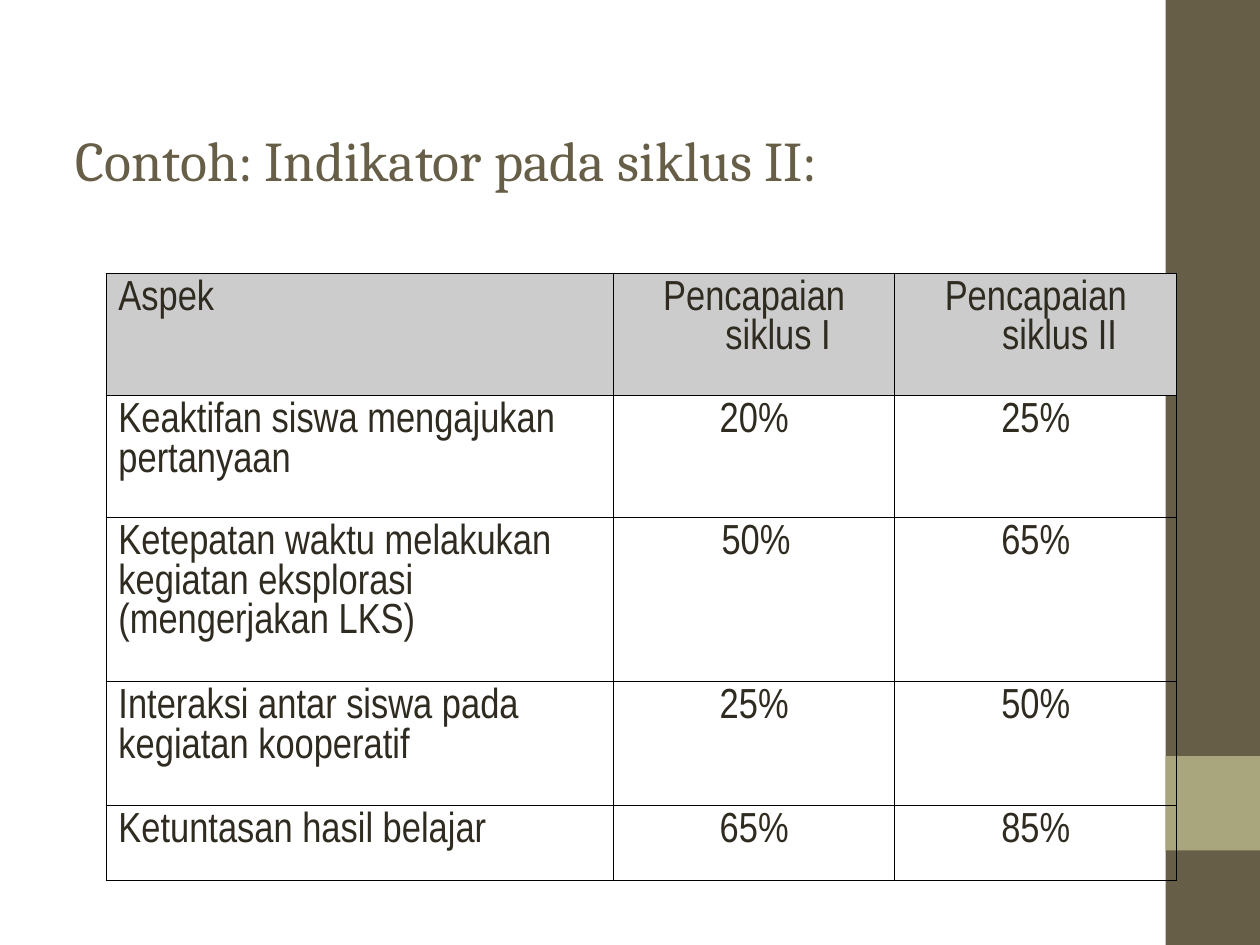
from lxml.etree import SubElement
from pptx import Presentation
from pptx.dml.color import RGBColor
from pptx.enum.shapes import MSO_SHAPE
from pptx.enum.text import MSO_ANCHOR, PP_ALIGN
from pptx.oxml.ns import qn
from pptx.util import Inches, Pt

BROWN, SAGE, INK, GREY, BLACK = "675E47", "A9A57C", "2F2B20", "CCCCCC", "000000"
HANG = 0.38
COLUMN_WIDTHS = [4.03, 2.23, 2.24]
ROW_HEIGHTS = [0.97, 0.97, 1.3, 0.98, 0.6]
ROWS = [
    ["Aspek", "Pencapaian siklus I", "Pencapaian siklus II"],
    ["Keaktifan siswa mengajukan pertanyaan", "20%", "25%"],
    ["Ketepatan waktu melakukan kegiatan eksplorasi (mengerjakan LKS)", "50%", "65%"],
    ["Interaksi antar siswa pada kegiatan kooperatif", "25%", "50%"],
    ["Ketuntasan hasil belajar", "65%", "85%"],
]


def color(value):
    return RGBColor.from_string(value)


def add_run(paragraph, text, font_name, size, value):
    run = paragraph.add_run()
    run.text = text
    run.font.name = font_name
    run.font.size = Pt(size)
    run.font.color.rgb = color(value)


def add_block(slide, left, top, width, height, value):
    shape = slide.shapes.add_shape(
        MSO_SHAPE.RECTANGLE, Inches(left), Inches(top), Inches(width), Inches(height))
    shape.shadow.inherit = False
    shape.fill.solid()
    shape.fill.fore_color.rgb = color(value)
    shape.line.fill.background()


def add_side_band(slide, left, top, width, height):
    """Full-height band with a square accent one square above its foot."""
    add_block(slide, left, top, width, height, BROWN)
    add_block(slide, left, top + height - 2 * width, width, width, SAGE)


def add_title(slide, left, top, width, height, text):
    box = slide.shapes.add_textbox(Inches(left), Inches(top), Inches(width), Inches(height))
    frame = box.text_frame
    frame.word_wrap = True
    frame.vertical_anchor = MSO_ANCHOR.MIDDLE
    add_run(frame.paragraphs[0], text, "Cambria", 32, BROWN)


def set_borders(cell, value, points):
    properties = cell._tc.get_or_add_tcPr()
    for position, side in enumerate(["a:lnL", "a:lnR", "a:lnT", "a:lnB"]):
        line = properties.makeelement(qn(side), {"w": str(Pt(points))})
        fill = SubElement(line, qn("a:solidFill"))
        SubElement(fill, qn("a:srgbClr"), val=value)
        properties.insert(position, line)


def set_hanging_indent(paragraph, margin, indent):
    properties = paragraph._p.get_or_add_pPr()
    properties.set("marL", str(Inches(margin)))
    properties.set("indent", str(Inches(indent)))


def fill_cell(cell, text, is_header, is_centered, indent):
    if is_header:
        cell.fill.solid()
        cell.fill.fore_color.rgb = color(GREY)
    else:
        cell.fill.background()
    set_borders(cell, BLACK, 0.45)
    paragraph = cell.text_frame.paragraphs[0]
    paragraph.line_spacing = 1.0
    paragraph.alignment = PP_ALIGN.CENTER if is_centered else PP_ALIGN.LEFT
    if indent:
        set_hanging_indent(paragraph, HANG, indent)
    add_run(paragraph, text, "Arial Narrow", 24, INK)


def add_indicator_table(slide, left, top):
    table = slide.shapes.add_table(
        len(ROWS), len(COLUMN_WIDTHS), Inches(left), Inches(top),
        Inches(sum(COLUMN_WIDTHS)), Inches(sum(ROW_HEIGHTS))).table
    table.first_row = False
    table.horz_banding = False
    for column, width in zip(table.columns, COLUMN_WIDTHS):
        column.width = Inches(width)
    for row, height in zip(table.rows, ROW_HEIGHTS):
        row.height = Inches(height)
    last_row = len(ROWS) - 1
    for i, texts in enumerate(ROWS):
        for j, text in enumerate(texts):
            is_hanging = j > 0 or i in (0, last_row)
            indent = -0.35 if (i, j) == (2, 1) else -HANG
            fill_cell(table.cell(i, j), text, i == 0, j > 0, indent if is_hanging else 0)


def main():
    presentation = Presentation()
    presentation.slide_width = Inches(10)
    presentation.slide_height = Inches(7.5)
    slide = presentation.slides.add_slide(presentation.slide_layouts[6])
    add_side_band(slide, 9.25, 0, 0.75, 7.5)
    add_title(slide, 0.5, 0.97, 9, 0.59, "Contoh: Indikator pada siklus II:")
    add_indicator_table(slide, 0.84, 2.17)
    presentation.save("out.pptx")


if __name__ == "__main__":
    main()
